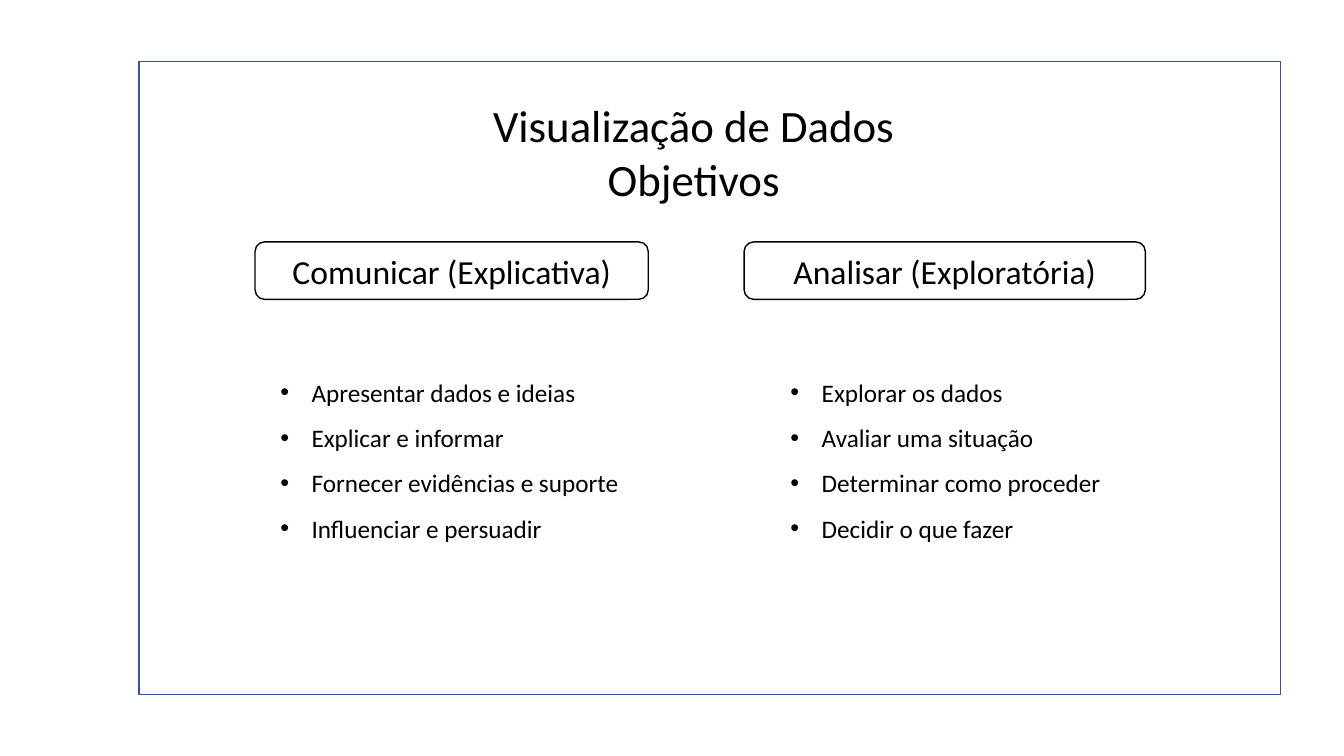
from lxml import etree
from pptx import Presentation
from pptx.dml.color import RGBColor
from pptx.enum.shapes import MSO_SHAPE
from pptx.enum.text import MSO_ANCHOR, MSO_AUTO_SIZE, PP_ALIGN
from pptx.oxml.ns import qn
from pptx.util import Inches, Pt

RECTANGLE, ROUNDED = MSO_SHAPE.RECTANGLE, MSO_SHAPE.ROUNDED_RECTANGLE
TOP, MIDDLE = MSO_ANCHOR.TOP, MSO_ANCHOR.MIDDLE
FIT_TEXT = MSO_AUTO_SIZE.SHAPE_TO_FIT_TEXT
LEFT, CENTER = PP_ALIGN.LEFT, PP_ALIGN.CENTER

WHITE = RGBColor(0xFF, 0xFF, 0xFF)
BLACK = RGBColor(0x00, 0x00, 0x00)
BLUE = RGBColor(0x32, 0x54, 0x91)

FRAME_BOX = (1.38, 0.61, 11.32, 6.28)
TITLE_BOX = (4.77, 0.92, 4.22, 1.18)
HEADING_TOP, HEADING_HEIGHT = 2.4, 0.57
LIST_DROP, LIST_HEIGHT = 1.14, 1.87
BULLET_INDENT = Inches(0.31)

TITLE_LINES = ["Visualização de Dados", "Objetivos"]
GOALS = [
    {
        "heading": "Comunicar (Explicativa)",
        "left": 2.53, "width": 3.9,
        "list_offset": 0.15, "list_width": 3.6,
        "items": ["Apresentar dados e ideias", "Explicar e informar",
                  "Fornecer evidências e suporte", "Influenciar e persuadir"],
    },
    {
        "heading": "Analisar (Exploratória)",
        "left": 7.38, "width": 3.98,
        "list_offset": 0.36, "list_width": 3.31,
        "items": ["Explorar os dados", "Avaliar uma situação",
                  "Determinar como proceder", "Decidir o que fazer"],
    },
]


def apply(target, formats):
    for name, value in formats.items():
        setattr(target, name, value)


def write_lines(holder, lines, size, alignment, spacing=1.0, bulleted=False):
    frame = holder.text_frame
    frame.text = "\n".join(lines)
    for paragraph in frame.paragraphs:
        apply(paragraph, {"alignment": alignment, "line_spacing": spacing,
                          "space_before": Pt(0), "space_after": Pt(0)})
        if bulleted:
            properties = paragraph._p.get_or_add_pPr()
            properties.set("marL", str(BULLET_INDENT))
            properties.set("indent", str(-BULLET_INDENT))
            etree.SubElement(properties, qn("a:buFont"), typeface="Arial")
            etree.SubElement(properties, qn("a:buChar"), char="•")
        for run in paragraph.runs:
            apply(run.font, {"name": "Calibri", "size": Pt(size)})
            run.font.color.rgb = BLACK


def fill_placeholder(holder, box, lines, **text_format):
    left, top, width, height = map(Inches, box)
    apply(holder, {"left": left, "top": top, "width": width, "height": height})
    apply(holder.text_frame, {"word_wrap": False, "auto_size": FIT_TEXT,
                              "vertical_anchor": TOP})
    write_lines(holder, lines, **text_format)


def add_panel(slide, preset, box, line_color):
    panel = slide.shapes.add_shape(preset, *map(Inches, box))
    panel.shadow.inherit = False
    panel.fill.solid()
    panel.fill.fore_color.rgb = WHITE
    panel.line.color.rgb = line_color
    panel.line.width = Pt(1)
    return panel


def add_frame(slide, box):
    frame = add_panel(slide, RECTANGLE, box, BLUE)
    slide.shapes.title.element.addprevious(frame.element)


def add_goal(slide, goal, holder, box):
    left, top, width, height = box
    heading = add_panel(slide, ROUNDED, box, BLACK)
    heading.text_frame.vertical_anchor = MIDDLE
    write_lines(heading, [goal["heading"]], size=24, alignment=CENTER)
    list_box = (left + goal["list_offset"], top + LIST_DROP,
                goal["list_width"], LIST_HEIGHT)
    fill_placeholder(holder, list_box, goal["items"], size=18,
                     alignment=LEFT, spacing=1.5, bulleted=True)


def main():
    deck = Presentation()
    apply(deck, {"slide_width": Inches(13.33), "slide_height": Inches(7.5)})
    slide = deck.slides.add_slide(deck.slide_layouts.get_by_name("Two Content"))
    add_frame(slide, FRAME_BOX)
    fill_placeholder(slide.shapes.title, TITLE_BOX, TITLE_LINES,
                     size=32, alignment=CENTER)
    for index, goal in enumerate(GOALS, start=1):
        box = (goal["left"], HEADING_TOP, goal["width"], HEADING_HEIGHT)
        add_goal(slide, goal, slide.placeholders[index], box)
    deck.save("out.pptx")


if __name__ == "__main__":
    main()
